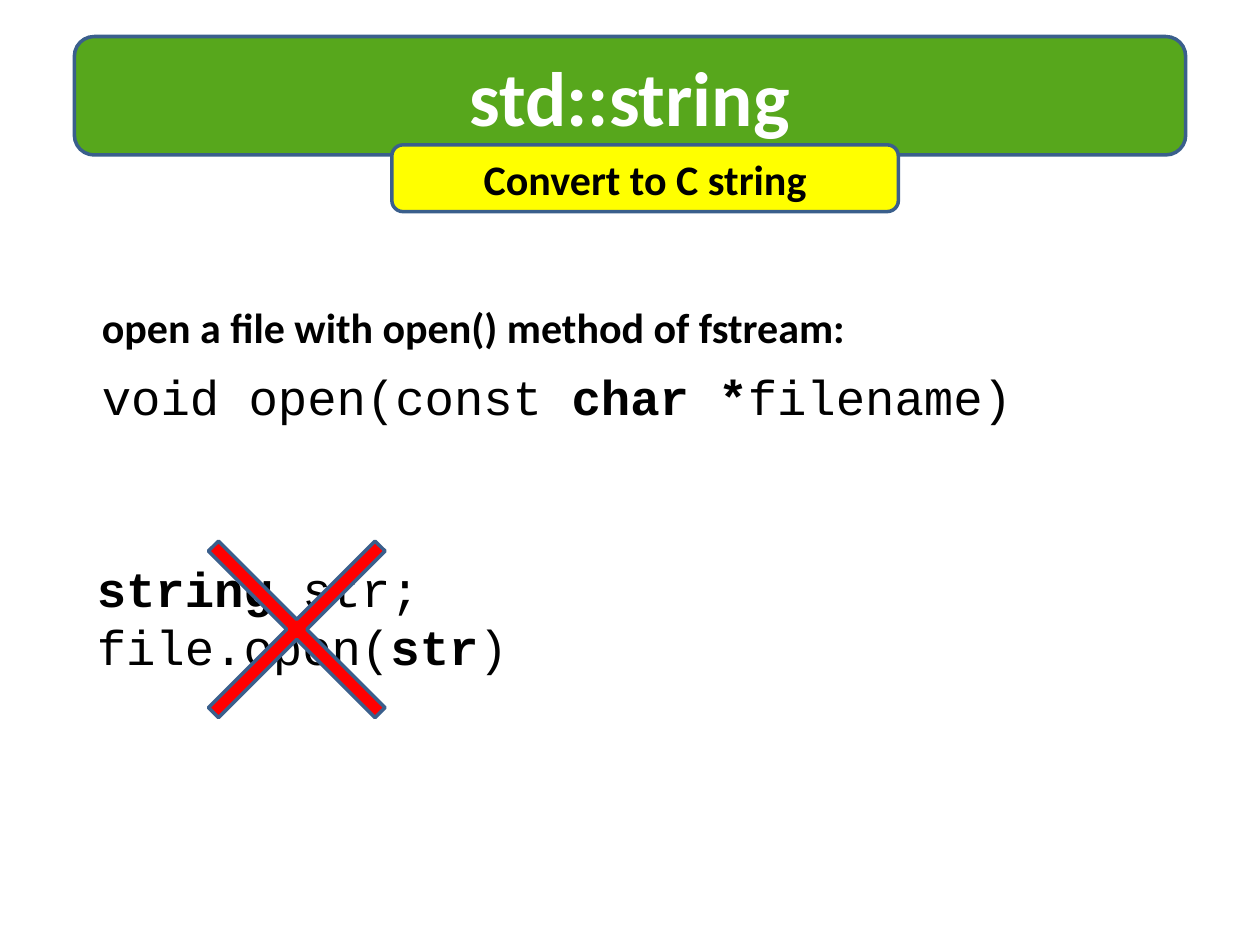
from pptx import Presentation
from pptx.dml.color import RGBColor
from pptx.enum.shapes import MSO_SHAPE
from pptx.enum.text import MSO_ANCHOR, MSO_AUTO_SIZE, PP_ALIGN
from pptx.util import Inches, Pt

ROUNDED = MSO_SHAPE.ROUNDED_RECTANGLE
CROSS = MSO_SHAPE.CROSS
MIDDLE = MSO_ANCHOR.MIDDLE
CENTER = PP_ALIGN.CENTER
GROW = MSO_AUTO_SIZE.SHAPE_TO_FIT_TEXT

GREEN = RGBColor(0x57, 0xA7, 0x1C)
YELLOW = RGBColor(0xFF, 0xFF, 0x00)
RED = RGBColor(0xFF, 0x00, 0x00)
OUTLINE = RGBColor(0x3A, 0x5F, 0x8C)
WHITE = RGBColor(0xFF, 0xFF, 0xFF)
BLACK = RGBColor(0x00, 0x00, 0x00)

COLUMNS, ROWS = 100, 75


class SlideBuilder:
    """Draws on one slide; boxes are (column, row, columns wide, rows high)."""

    heading_font = "Calibri"
    code_font = "Courier New"
    code_size = 28
    line_width = 2

    def __init__(self, presentation):
        self.column = presentation.slide_width / COLUMNS
        self.row = presentation.slide_height / ROWS
        self.slide = presentation.slides.add_slide(presentation.slide_layouts[6])

    def place(self, box):
        left, top, width, height = box
        return (round(left * self.column), round(top * self.row),
                round(width * self.column), round(height * self.row))

    def style(self, paragraph, name, size, color):
        font = paragraph.font
        font.name, font.size = name, Pt(size)
        font.color.rgb = color

    def outlined_shape(self, kind, box, fill):
        shape = self.slide.shapes.add_shape(kind, *self.place(box))
        shape.shadow.inherit = False
        shape.fill.solid()
        shape.fill.fore_color.rgb = fill
        shape.line.color.rgb = OUTLINE
        shape.line.width = Pt(self.line_width)
        return shape

    def banner(self, box, text, fill, size, color):
        frame = self.outlined_shape(ROUNDED, box, fill).text_frame
        frame.vertical_anchor = MIDDLE
        paragraph = frame.paragraphs[0]
        paragraph.text = text
        paragraph.alignment = CENTER
        paragraph.font.bold = True
        self.style(paragraph, self.heading_font, size, color)

    def text_frame(self, box):
        frame = self.slide.shapes.add_textbox(*self.place(box)).text_frame
        frame.word_wrap = False
        frame.auto_size = GROW
        return frame

    def heading(self, box, text, size):
        paragraph = self.text_frame(box).paragraphs[0]
        paragraph.text = text
        paragraph.font.bold = True
        self.style(paragraph, self.heading_font, size, BLACK)

    def code(self, box, lines):
        """Each line is a list of (text, bold) pieces."""
        frame = self.text_frame(box)
        for index, pieces in enumerate(lines):
            paragraph = frame.add_paragraph() if index else frame.paragraphs[0]
            self.style(paragraph, self.code_font, self.code_size, BLACK)
            for text, bold in pieces:
                run = paragraph.add_run()
                run.text = text
                run.font.bold = bold

    def cross_out(self, box, fill, inset):
        """Draw a diagonal cross; inset is the share cut from each corner."""
        shape = self.outlined_shape(CROSS, box, fill)
        shape.adjustments[0] = inset
        shape.rotation = 45


def main():
    presentation = Presentation()
    presentation.slide_width = Inches(10)
    presentation.slide_height = Inches(7.5)

    builder = SlideBuilder(presentation)
    builder.banner((5.9, 2.9, 88.2, 9.4), "std::string", GREEN, 44, WHITE)
    builder.banner((31.1, 11.5, 40.2, 5.3), "Convert to C string", YELLOW, 24, BLACK)
    builder.code((7.1, 28.6, 74.8, 5.7), [
        [("void open(const ", False), ("char *", True), ("filename)", False)],
    ])
    builder.heading((7.1, 23.4, 62.5, 5),
                    "open a file with open() method of fstream:", 24)
    builder.code((6.7, 43.8, 34.9, 10.4), [
        [("string ", True), ("str;", False)],
        [("file.open(", False), ("str", True), (")", False)],
    ])
    builder.cross_out((14.2, 40.6, 18.7, 18.7), RED, 0.47)

    presentation.save("out.pptx")


if __name__ == "__main__":
    main()
